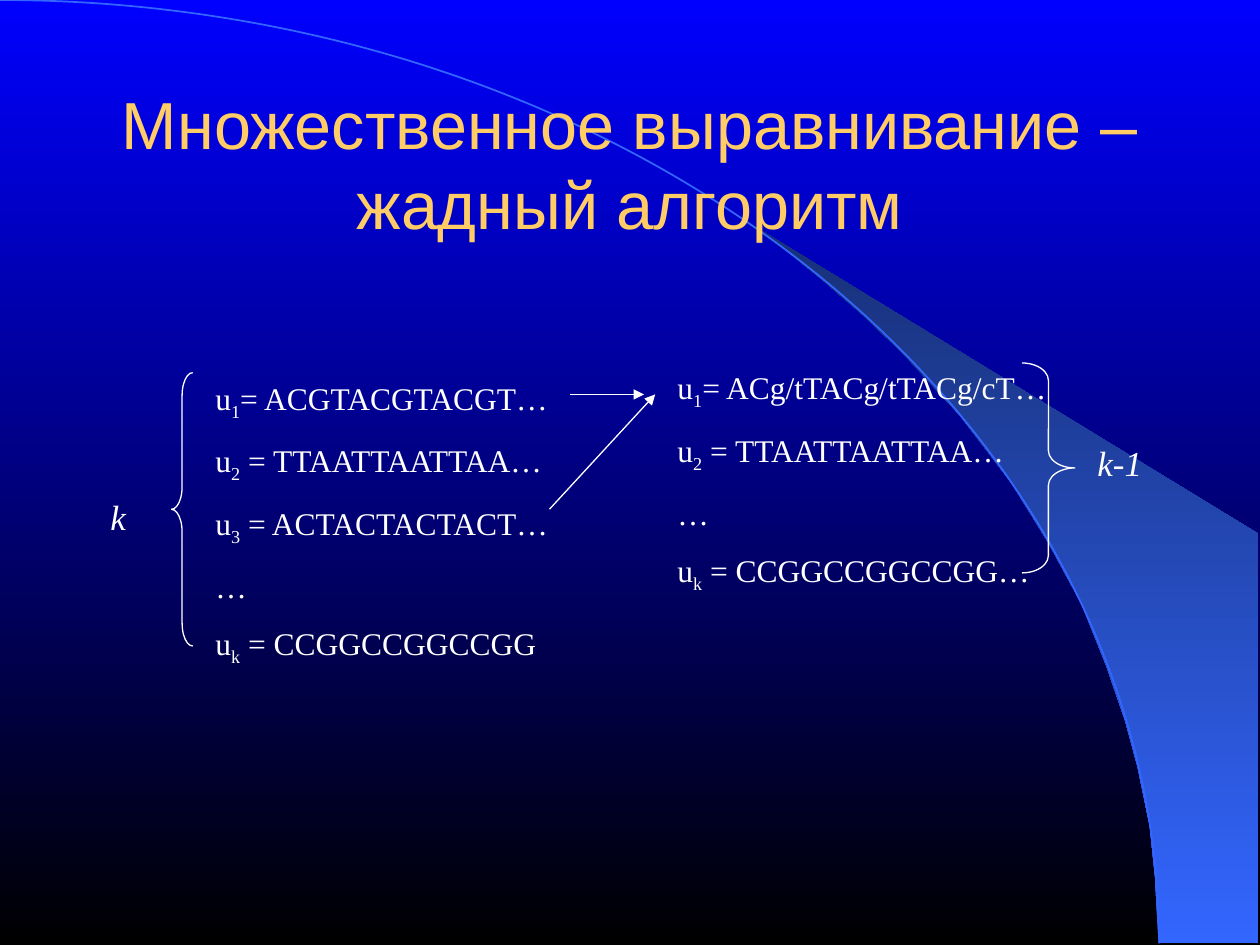
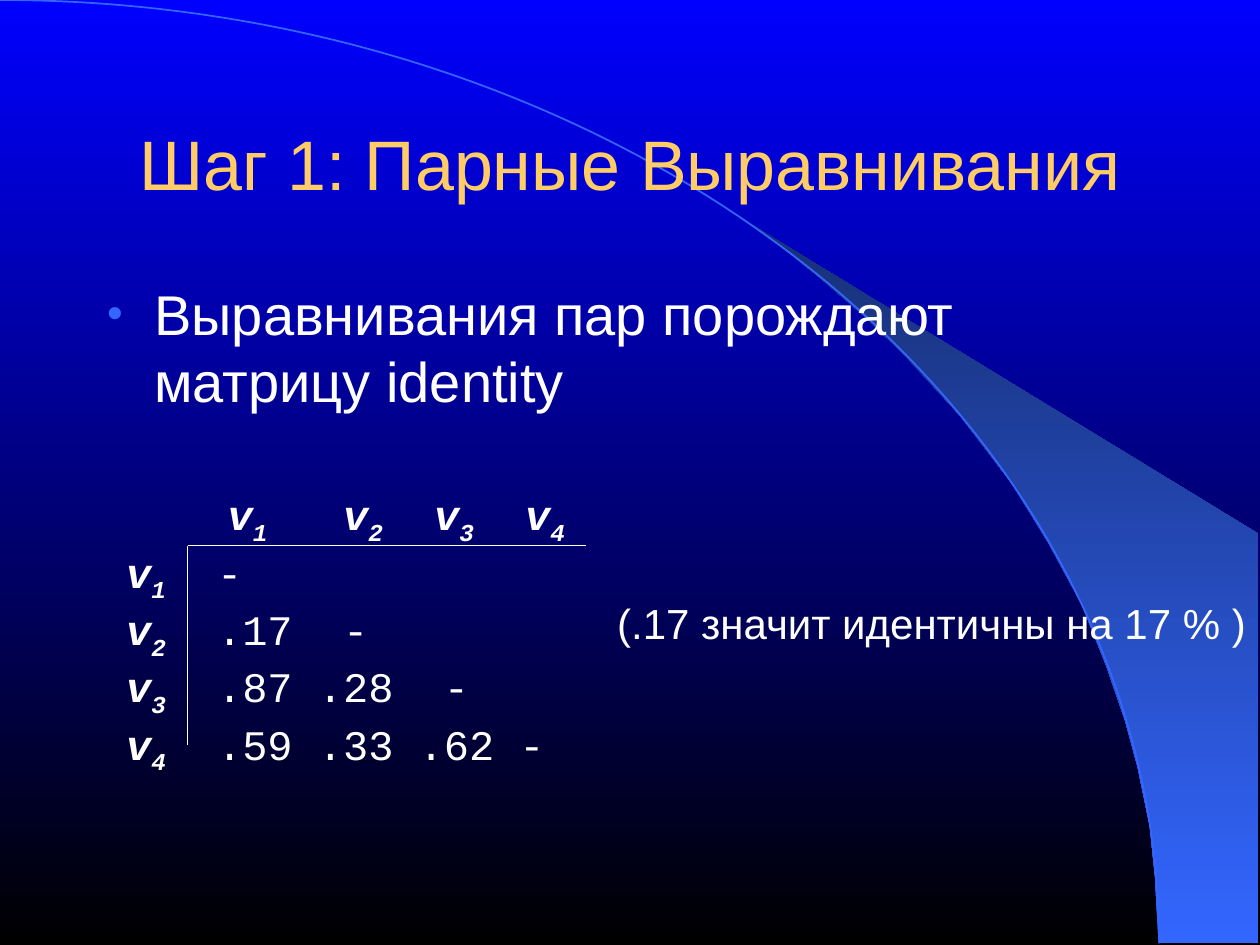
"""Build two slides on greedy multiple alignment."""
from dataclasses import dataclass
from typing import Any

from lxml.etree import SubElement
from pptx import Presentation
from pptx.dml.color import RGBColor
from pptx.enum.shapes import MSO_CONNECTOR, MSO_SHAPE
from pptx.enum.text import MSO_ANCHOR, MSO_AUTO_SIZE, PP_ALIGN
from pptx.oxml.ns import qn
from pptx.util import Pt

WHITE, GOLD, BLUE = "FFFFFF", "FFCC66", "3366FF"
SANS, SERIF, MONO = "Arial", "Times New Roman", "Courier New"
WEDGE = [(662.4, 538.6), (719.3, 539.3), (719.3, 304.6), (424.1, 124.6),
         (449.3, 143.3), (470.2, 159.8), (493.2, 180), (515.5, 201.6),
         (548.6, 237.6), (578.2, 276.5), (599, 310.3), (617.8, 344.9),
         (632.2, 380.2), (643, 411.8), (650.2, 438.5), (657.4, 472.3),
         (660.2, 501.1)]


def tint(code):
    return RGBColor.from_string(code)


def blend(fill, low, high):
    fill.gradient()
    fill.gradient_angle = 90
    for stop, code in zip(fill.gradient_stops, (low, high)):
        stop.color.rgb = tint(code)


@dataclass
class Deck:
    show: Any
    slide: Any = None

    def page(self, layout, title, size):
        self.slide = self.show.slides.add_slide(self.show.slide_layouts[layout])
        frame = self.place(self.slide.shapes.title, 54, 48, 612, 90)
        frame.vertical_anchor = MSO_ANCHOR.MIDDLE
        frame.text = title
        para = frame.paragraphs[0]
        para.alignment = PP_ALIGN.CENTER
        self.style(para.runs[0], SANS, size, GOLD)

    def place(self, shape, left, top, width, height):
        shape.left, shape.top = Pt(left), Pt(top)
        shape.width, shape.height = Pt(width), Pt(height)
        shape.text_frame.auto_size = MSO_AUTO_SIZE.NONE
        return shape.text_frame

    def style(self, run, face, size, code=WHITE):
        run.font.name, run.font.size = face, Pt(size)
        run.font.color.rgb = tint(code)

    def decor(self):
        master = self.show.slide_master
        blend(master.background.fill, "000000", "0000FF")
        draft = self.slide.shapes
        pen = draft.build_freeform(*WEDGE[0], scale=Pt(1))
        pen.add_line_segments(WEDGE[1:], close=True)
        wedge = pen.convert_to_shape()
        blend(wedge.fill, BLUE, "172F75")
        wedge.line.fill.background()
        wedge.shadow.inherit = False
        arc = self.curve(MSO_SHAPE.ARC, -662.4, 0, 1324.8, 1078, BLUE, 1)
        tree = master.shapes.element
        for spot, shape in enumerate((wedge, arc), 2):
            tree.insert(spot, shape.element)

    def curve(self, kind, left, top, width, height, code=WHITE, weight=0.75):
        shape = self.slide.shapes.add_shape(
            kind, Pt(left), Pt(top), Pt(width), Pt(height))
        shape.fill.background()
        shape.line.color.rgb, shape.line.width = tint(code), Pt(weight)
        shape.shadow.inherit = False
        return shape

    def brace(self, kind, left, top, width, height, bend):
        shape = self.curve(kind, left, top, width, height)
        shape.adjustments[0] = bend

    def line(self, start, end, arrow=False):
        link = self.slide.shapes.add_connector(
            MSO_CONNECTOR.STRAIGHT, *map(Pt, start + end))
        link.line.color.rgb, link.line.width = tint(WHITE), Pt(0.75)
        if arrow:
            SubElement(link.line._get_or_add_ln(), qn("a:tailEnd"), type="triangle")
        SubElement(link.element.spPr, qn("a:effectLst"))

    def rich(self, para, text, face, size, strong=False):
        for part, piece in enumerate(text.split("_")):
            if not piece:
                continue
            run = para.add_run()
            run.text = piece
            self.style(run, face, size)
            if part % 2:
                run.font._element.set("baseline", "-25000")
            if strong and (part % 2 or "v" in piece):
                run.font.bold = run.font.italic = True

    def text(self, box, rows, face, size, gap=0, wrap=True, strong=False):
        shape = self.slide.shapes.add_textbox(*map(Pt, box))
        frame = shape.text_frame
        frame.word_wrap = wrap
        for spot, row in enumerate(rows):
            para = frame.add_paragraph() if spot else frame.paragraphs[0]
            para.space_before = Pt(gap)
            self.rich(para, row, face, size, strong)
        return frame

    def label(self, box, word):
        frame = self.text(box, [word], SERIF, 20, 12.5)
        frame.paragraphs[0].runs[0].font.italic = True

    def grid(self, box, rows):
        frame = self.text(box, [row for row, _ in rows], MONO, 24, strong=True)
        for para, (_, stops) in zip(frame.paragraphs, rows):
            tabs = SubElement(para._p.get_or_add_pPr(), qn("a:tabLst"))
            for stop in stops:
                SubElement(tabs, qn("a:tab"), pos=str(Pt(stop)), algn="l")

    def bullet(self, text):
        frame = self.place(self.slide.placeholders[1], 54, 156, 612, 324)
        frame.text = text
        para = frame.paragraphs[0]
        para.space_before = Pt(8)
        self.style(para.runs[0], SANS, 32)
        props = para._p.get_or_add_pPr()
        props.set("marL", str(Pt(27)))
        props.set("indent", str(Pt(-27)))
        SubElement(SubElement(props, qn("a:buClr")), qn("a:srgbClr"), val=BLUE)
        SubElement(props, qn("a:buSzPct"), val="80000")
        SubElement(props, qn("a:buFont"), typeface=SANS)
        SubElement(props, qn("a:buChar"), char="•")


show = Presentation()
show.slide_width, show.slide_height = Pt(720), Pt(540)
deck = Deck(show)

deck.page(5, "Множественное выравнивание – жадный алгоритм", 38)
deck.decor()
deck.text((116, 213, 246, 172),
          ["u_1_= ACGTACGTACGT…", "u_2_ = TTAATTAATTAA…",
           "u_3_ = ACTACTACTACT…", "…", "u_k_ = CCGGCCGGCCGG"],
          SERIF, 18, 11.2)
deck.text((380, 207, 246, 136),
          ["u_1_= ACg/tTACg/tTACg/cT…", "u_2_ = TTAATTAATTAA…",
           "…", "u_k_ = CCGGCCGGCCGG…"],
          SERIF, 18, 11.2)
deck.line((326, 225.4), (368, 225.4), True)
deck.line((314, 291), (374.4, 225.4), True)
deck.brace(MSO_SHAPE.LEFT_BRACE, 98, 213, 12.2, 156.2, 1.06)
deck.label((56, 279.4, 36, 32), "k")
deck.brace(MSO_SHAPE.RIGHT_BRACE, 584, 207.4, 30.2, 120, 0.33)
deck.label((620, 249, 48, 32), "k-1")

deck.page(1, "Шаг 1: Парные Выравнивания", 40)
deck.bullet("Выравнивания пар порождают матрицу identity")
deck.grid((65, 275.8, 280, 171), [
    ("\tv_1_\tv_2_\tv_3_\tv_4_", (58, 124, 176, 228)),
    ("v_1_\t-", (52,)),
    ("v_2_\t.17\t-", (52, 124)),
    ("v_3_\t.87\t.28\t-", (52, 109.6, 181.6)),
    ("v_4_\t.59\t.33\t.62\t-", (52, 109.6, 167.2, 224.8))])
deck.line((107.3, 311.8), (107.3, 425.5))
deck.line((107.3, 311.8), (334.8, 311.8))
deck.text((345.6, 337.7, 374.4, 36), ["(.17 значит идентичны на 17 % )"],
          SANS, 24, wrap=False)

show.save("out.pptx")
